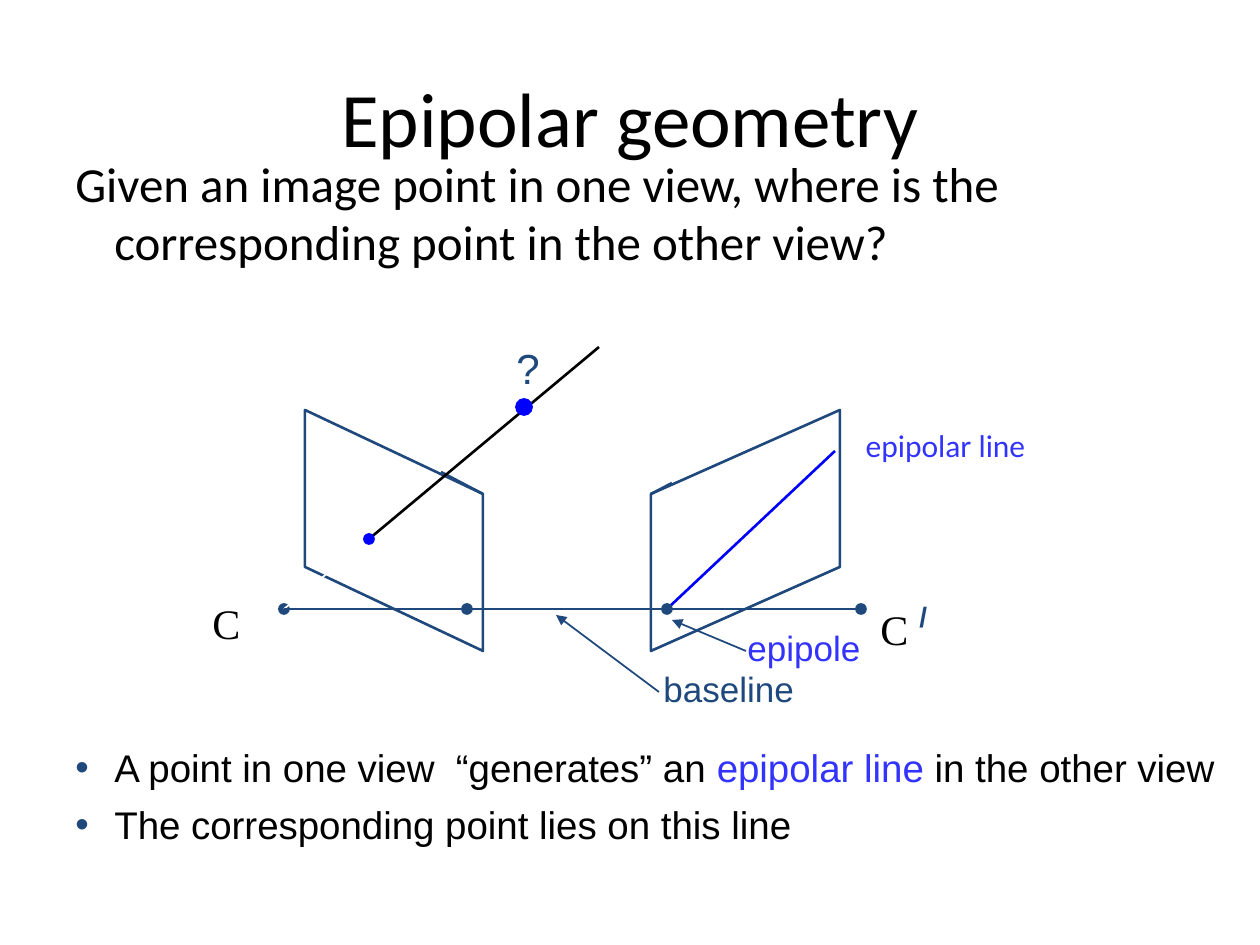
from lxml import etree
from pptx import Presentation
from pptx.dml.color import RGBColor
from pptx.enum.shapes import MSO_CONNECTOR, MSO_SHAPE
from pptx.enum.text import MSO_ANCHOR, PP_ALIGN
from pptx.oxml.ns import qn
from pptx.util import Emu, Pt

STRAIGHT = MSO_CONNECTOR.STRAIGHT
OVAL = MSO_SHAPE.OVAL
MIDDLE = MSO_ANCHOR.MIDDLE
CENTER = PP_ALIGN.CENTER
LEFT = PP_ALIGN.LEFT

EMU_PER_PX = 914400 / 126
NAVY, BLUE, VIOLET = "1F497D", "0000FF", "3333FF"
BLACK, WHITE = "000000", "FFFFFF"


def px(value):
    return Emu(round(value * EMU_PER_PX))


def color(value):
    return RGBColor.from_string(value)


def place(shape, box):
    shape.left, shape.top, shape.width, shape.height = map(px, box)


def set_font(font, name, size, value, bold=False):
    font.name, font.size, font.bold = name, Pt(size), bold
    font.color.rgb = color(value)


def set_line(line, value, width):
    line.color.rgb = color(value)
    line.width = Pt(width)


def hang(paragraph):
    properties = paragraph._p.get_or_add_pPr()
    properties.set("marL", str(px(102)))
    properties.set("indent", str(px(-39)))
    return properties


def add_bullet(paragraph, value):
    properties = hang(paragraph)
    bullet_color = etree.SubElement(properties, qn("a:buClr"))
    etree.SubElement(bullet_color, qn("a:srgbClr"), val=value)
    etree.SubElement(properties, qn("a:buFont"), typeface="Arial")
    etree.SubElement(properties, qn("a:buChar"), char="•")


def add_text_frame(slide, box):
    frame = slide.shapes.add_textbox(*map(px, box)).text_frame
    frame.word_wrap = True
    return frame


def add_title(slide, box):
    title = slide.shapes.title
    place(title, box)
    frame = title.text_frame
    frame.text = "Epipolar geometry"
    frame.vertical_anchor = MIDDLE
    paragraph = frame.paragraphs[0]
    paragraph.alignment = CENTER
    set_font(paragraph.font, "Calibri", 44, BLACK)


def add_question(slide, box):
    paragraph = add_text_frame(slide, box).paragraphs[0]
    paragraph.text = ("Given an image point in one view, where is the "
                      "corresponding point in the other view?")
    hang(paragraph)
    set_font(paragraph.font, "Calibri", 28, BLACK)


def add_conclusions(slide, box):
    frame = add_text_frame(slide, box)
    conclusions = [
        [("A point in one view  “generates” an ", BLACK),
         ("epipolar line ", VIOLET),
         ("in the other view", BLACK)],
        [("The corresponding point lies on this line", BLACK)],
    ]
    for index, parts in enumerate(conclusions):
        paragraph = frame.add_paragraph() if index else frame.paragraphs[0]
        paragraph.space_after = Pt(6)
        add_bullet(paragraph, NAVY)
        for text, value in parts:
            run = paragraph.add_run()
            run.text = text
            set_font(run.font, "Arial", 22, value)


def add_diagram(slide, box):
    left, top = box[:2]

    def add_plane(points):
        corners = [(px(left + x), px(top + y)) for x, y in points]
        builder = slide.shapes.build_freeform(*corners[0], scale=1.0)
        builder.add_line_segments(corners[1:], close=True)
        plane = builder.convert_to_shape()
        plane.shadow.inherit = False
        plane.fill.background()
        set_line(plane.line, NAVY, 1.5)

    def add_dot(x, y, radius, value):
        dot = slide.shapes.add_shape(OVAL, 0, 0, 0, 0)
        place(dot, (left + x - radius, top + y - radius, 2 * radius, 2 * radius))
        dot.shadow.inherit = False
        dot.fill.solid()
        dot.fill.fore_color.rgb = color(value)
        set_line(dot.line, value, 1)

    def add_line(start, end, value, width, arrow=False):
        connector = slide.shapes.add_connector(
            STRAIGHT, px(left + start[0]), px(top + start[1]),
            px(left + end[0]), px(top + end[1]))
        set_line(connector.line, value, width)
        if arrow:
            etree.SubElement(connector.line._get_or_add_ln(),
                             qn("a:tailEnd"), type="triangle")
        etree.SubElement(connector._element.spPr, qn("a:effectLst"))

    def add_label(text, area, name, size, value, bold=False, centered=False):
        x, y, width, height = area
        frame = add_text_frame(slide, (left + x, top + y, width, height))
        paragraph = frame.paragraphs[0]
        paragraph.text = text
        paragraph.alignment = CENTER if centered else LEFT
        set_font(paragraph.font, name, size, value, bold)

    baseline_y = 279
    left_center, right_center = (84, baseline_y), (661, baseline_y)
    left_epipole, right_epipole = (267, baseline_y), (467, baseline_y)
    image_point, world_point = (169, 209), (324, 77)
    left_corner, right_corner = (283, 164), (451, 164)

    add_plane([(105, 80), (105, 237), (283, 321), left_corner])
    add_plane([(640, 80), (640, 237), (451, 321), right_corner])
    for center in (left_center, right_center):
        add_dot(*center, 5, NAVY)
    for corner, edge_end in ((left_corner, (241, 142)),
                             (right_corner, (472, 153))):
        add_line(corner, (corner[0], baseline_y), NAVY, 1.5)
        add_line(corner, edge_end, NAVY, 1.5)

    add_line(right_epipole, (635, 121), BLUE, 1.5)
    add_line(left_center, image_point, WHITE, 1)
    add_line(image_point, (399, 17), BLACK, 1.5)
    add_dot(*image_point, 5, BLUE)
    add_dot(*world_point, 8, BLUE)
    add_line(left_center, right_center, NAVY, 1)
    for epipole in (left_epipole, right_epipole):
        add_dot(*epipole, 5, NAVY)
    add_line((459, 362), (356, 285), NAVY, 1, arrow=True)
    add_line((546, 321), (472, 290), NAVY, 1, arrow=True)

    add_label("?", (304, 6, 63, 63), "Arial", 24, NAVY)
    add_label("epipolar line", (648, 90, 195, 50), "Calibri", 18, VIOLET,
              centered=True)
    add_label("baseline", (451, 331, 168, 54), "Arial", 20, NAVY)
    add_label("epipole", (535, 290, 147, 54), "Arial", 20, VIOLET)
    add_label("C", (0, 261, 62, 63), "Times New Roman", 24, BLACK)
    add_label("C", (668, 267, 62, 63), "Times New Roman", 24, BLACK)
    add_label("/", (707, 263, 73, 47), "Arial", 16, NAVY, bold=True)


def main():
    presentation = Presentation()
    presentation.slide_width, presentation.slide_height = px(1260), px(945)
    slide = presentation.slides.add_slide(presentation.slide_layouts[5])
    add_title(slide, (63, 38, 1134, 158))
    add_question(slide, (0, 147, 1260, 136))
    add_diagram(slide, (200, 330, 860, 390))
    add_conclusions(slide, (0, 738, 1260, 136))
    presentation.save("out.pptx")


if __name__ == "__main__":
    main()
